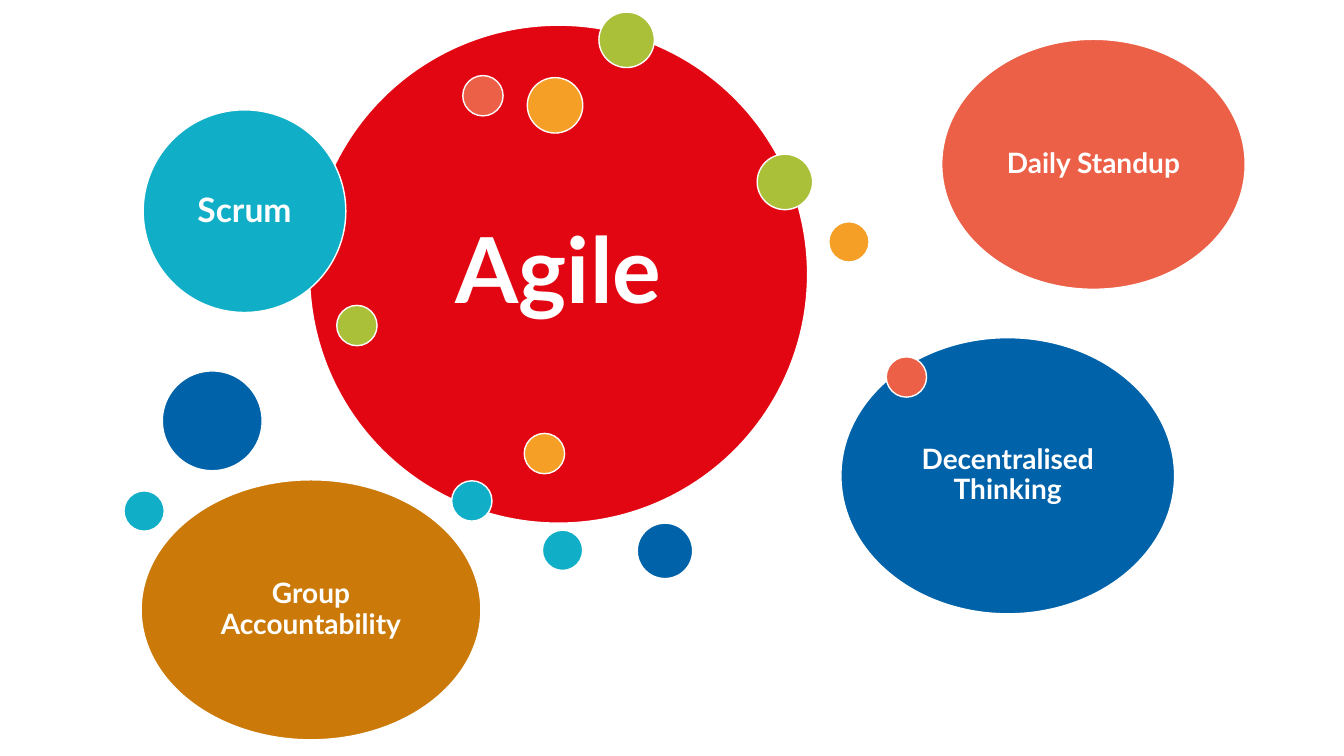
from pptx import Presentation
from pptx.dml.color import RGBColor as RGB
from pptx.enum.shapes import MSO_SHAPE as Shape
from pptx.enum.text import MSO_ANCHOR as Anchor, PP_ALIGN as Align
from pptx.util import Inches, Pt

HUES = {
    "red": "E20613", "teal": "11AEC7", "coral": "EB6047", "blue": "0062A9",
    "ochre": "CB7A09", "lime": "A9C038", "amber": "F59F26", "white": "FFFFFF",
}

# Topics: text, left, top, width, height, colour, font size, text inset
TOPICS = [
    ("Agile", 3.07, 0.25, 4.94, 4.94, "red", 65, 0.27),
    ("Scrum", 1.42, 1.09, 2.01, 2.01, "teal", 24, 0.1),
    ("Daily Standup", 9.34, 0.39, 3.01, 2.48, "coral", 20, 0.08),
    ("Decentralised Thinking", 8.34, 3.35, 3.31, 2.74, "blue", 20, 0.08),
    ("Group Accountability", 1.4, 4.76, 3.37, 2.58, "ochre", 20, 0.08),
]

# Dots: diameter -> left, top, colour
DOTS = {
    0.4: [
        (4.48, 4.77, "teal"), (8.22, 2.2, "amber"), (4.59, 0.75, "coral"),
        (3.34, 3.03, "lime"), (1.23, 4.87, "teal"), (5.2, 4.3, "amber"),
        (8.79, 3.54, "coral"), (5.38, 5.26, "teal"),
    ],
    0.55: [
        (5.94, 0.12, "lime"), (6.32, 5.19, "blue"),
        (5.23, 0.77, "amber"), (7.51, 1.53, "lime"),
    ],
    0.99: [(1.61, 3.68, "blue")],
}


def hue(name):
    return RGB.from_string(HUES[name])


def add_oval(slide, left, top, width, height, fill):
    oval = slide.shapes.add_shape(
        Shape.OVAL, Inches(left), Inches(top), Inches(width), Inches(height))
    oval.shadow.inherit = False
    oval.fill.solid()
    oval.fill.fore_color.rgb = hue(fill)
    oval.line.color.rgb = hue("white")
    oval.line.width = Pt(1)
    return oval


def put_text(shape, text, *, size, inset, color="white", bold=True):
    frame = shape.text_frame
    frame.word_wrap = True
    frame.vertical_anchor = Anchor.MIDDLE
    frame.margin_left = frame.margin_right = Inches(inset)
    frame.margin_top = frame.margin_bottom = Inches(inset)
    para = frame.paragraphs[0]
    para.alignment = Align.CENTER
    para.line_spacing = 0.9
    run = para.add_run()
    run.text = text
    run.font.name = "Lato"
    run.font.size = Pt(size)
    run.font.bold = bold
    run.font.color.rgb = hue(color)


def main():
    deck = Presentation()
    deck.slide_width, deck.slide_height = Inches(13.33), Inches(7.5)
    slide = deck.slides.add_slide(deck.slide_layouts[6])

    # Large labelled bubbles
    for text, left, top, width, height, fill, size, inset in TOPICS:
        oval = add_oval(slide, left, top, width, height, fill)
        put_text(oval, text, size=size, inset=inset)

    # Small dots on top
    for size, spots in DOTS.items():
        for left, top, fill in spots:
            add_oval(slide, left, top, size, size, fill)

    deck.save("out.pptx")


if __name__ == "__main__":
    main()
